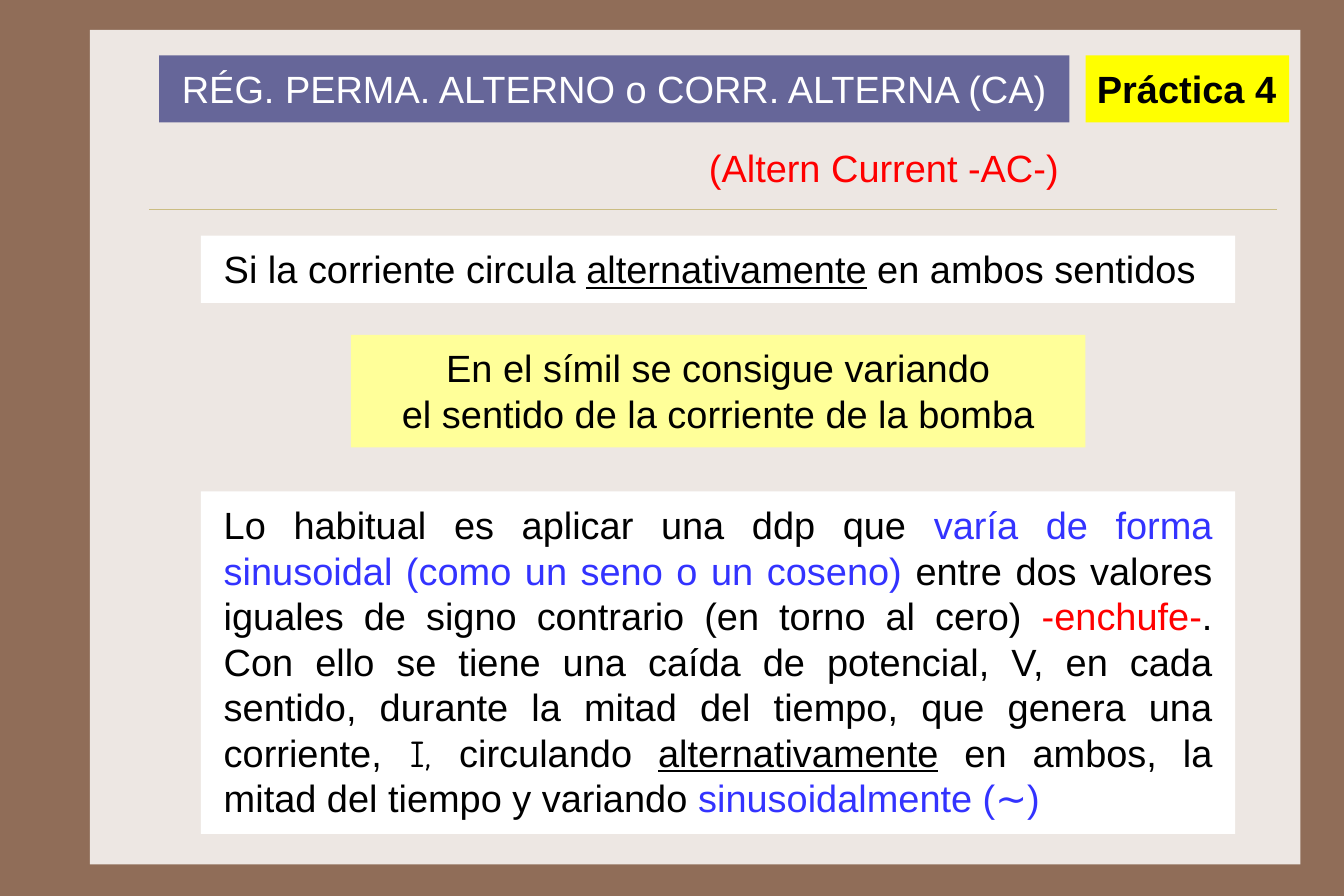
from dataclasses import dataclass
from typing import Optional

from lxml import etree
from pptx import Presentation
from pptx.dml.color import RGBColor
from pptx.enum.shapes import MSO_CONNECTOR, MSO_SHAPE
from pptx.enum.text import MSO_ANCHOR, MSO_AUTO_SIZE, PP_ALIGN
from pptx.oxml.ns import qn
from pptx.util import Pt

RECTANGLE = MSO_SHAPE.RECTANGLE
STRAIGHT = MSO_CONNECTOR.STRAIGHT
TOP = MSO_ANCHOR.TOP
FIT_SHAPE = MSO_AUTO_SIZE.SHAPE_TO_FIT_TEXT
LEFT, CENTER, JUSTIFY = PP_ALIGN.LEFT, PP_ALIGN.CENTER, PP_ALIGN.JUSTIFY


@dataclass(frozen=True)
class Theme:
    background: str = "906D58"
    panel: str = "EDE7E3"
    rule: str = "CBBD83"
    title: str = "666699"
    badge: str = "FFFF00"
    simile: str = "FFFF99"
    white: str = "FFFFFF"
    black: str = "000000"
    blue: str = "3333FF"
    red: str = "FF0000"
    font: str = "Arial"
    symbol_font: str = "Comic Neue"
    size: float = 24
    line_height: float = 28.8


THEME = Theme()


@dataclass(frozen=True)
class Span:
    text: str
    color: str = THEME.black
    font: str = THEME.font
    bold: bool = False
    underline: bool = False


@dataclass(frozen=True)
class Box:
    left: float
    top: float
    width: float
    height: float
    paragraphs: list[list[Span]]
    fill: Optional[str] = None
    align: PP_ALIGN = LEFT
    side_inset: float = 7.2
    wrap: bool = True


# Measures shared by the boxes
SLIDE_WIDTH, SLIDE_HEIGHT = 850.4, 567
ONE_LINE = 42.5
BODY_LEFT, BODY_WIDTH = 127.2, 654.4
BODY_INSET = 14.4
VERTICAL_INSET = 6.5

EXPLANATION = [
    Span("Lo habitual es aplicar una ddp que "),
    Span("varía de forma sinusoidal (como un seno o un coseno) ", THEME.blue),
    Span("entre dos valores iguales de signo contrario (en torno al cero) "),
    Span("-enchufe-", THEME.red),
    Span(". Con ello se tiene una caída de potencial, V, en cada sentido, "
         "durante la mitad del tiempo, que genera una corriente,"),
    Span(" I, ", font=THEME.symbol_font),
    Span("circulando "),
    Span("alternativamente", underline=True),
    Span(" en ambos, la mitad del tiempo y variando "),
    Span("sinusoidalmente (∼)", THEME.blue),
]

DEFINITION = [
    Span("Si la corriente circula "),
    Span("alternativamente", underline=True),
    Span(" en ambos sentidos"),
]

BOXES = [
    Box(BODY_LEFT, 311, BODY_WIDTH, 216.7, [EXPLANATION], THEME.white, JUSTIFY, BODY_INSET),
    Box(100.7, 35, 576, ONE_LINE,
        [[Span("RÉG. PERMA. ALTERNO o CORR. ALTERNA (CA)", THEME.white)]],
        THEME.title, CENTER),
    Box(BODY_LEFT, 149.2, BODY_WIDTH, ONE_LINE, [DEFINITION], THEME.white, JUSTIFY, BODY_INSET),
    Box(687, 35, 128.7, ONE_LINE, [[Span("Práctica 4", bold=True)]], THEME.badge, wrap=False),
    Box(441.5, 85, 239, ONE_LINE, [[Span("(Altern Current -AC-)", THEME.red)]], wrap=False),
    Box(222, 211.9, 464.8, 71.2,
        [[Span("En el símil se consigue variando")],
         [Span("el sentido de la corriente de la bomba")]],
        THEME.simile, CENTER, BODY_INSET),
]


def add_rectangle(slide, left: float, top: float, width: float, height: float, fill: str):
    shape = slide.shapes.add_shape(RECTANGLE, Pt(left), Pt(top), Pt(width), Pt(height))
    shape.shadow.inherit = False
    shape.fill.solid()
    shape.fill.fore_color.rgb = RGBColor.from_string(fill)
    shape.line.fill.background()
    return shape


def add_rule(slide, left: float, right: float, top: float) -> None:
    connector = slide.shapes.add_connector(STRAIGHT, Pt(left), Pt(top), Pt(right), Pt(top))
    connector.line.color.rgb = RGBColor.from_string(THEME.rule)
    connector.line.width = Pt(0.25)
    etree.SubElement(connector._element.spPr, qn("a:effectLst"))


def add_span(paragraph, span: Span) -> None:
    run = paragraph.add_run()
    run.text = span.text
    run.font.name = span.font
    run.font.size = Pt(THEME.size)
    run.font.color.rgb = RGBColor.from_string(span.color)
    run.font.bold = span.bold
    run.font.underline = span.underline


def add_box(slide, box: Box) -> None:
    if box.fill:
        shape = add_rectangle(slide, box.left, box.top, box.width, box.height, box.fill)
    else:
        shape = slide.shapes.add_textbox(Pt(box.left), Pt(box.top), Pt(box.width), Pt(box.height))
    text_frame = shape.text_frame
    text_frame.word_wrap = box.wrap
    text_frame.auto_size = FIT_SHAPE
    text_frame.vertical_anchor = TOP
    text_frame.margin_left = text_frame.margin_right = Pt(box.side_inset)
    text_frame.margin_top = text_frame.margin_bottom = Pt(VERTICAL_INSET)
    for index, spans in enumerate(box.paragraphs):
        paragraph = text_frame.add_paragraph() if index else text_frame.paragraphs[0]
        paragraph.alignment = box.align
        paragraph.line_spacing = Pt(THEME.line_height)
        for span in spans:
            add_span(paragraph, span)


def main() -> None:
    presentation = Presentation()
    presentation.slide_width = Pt(SLIDE_WIDTH)
    presentation.slide_height = Pt(SLIDE_HEIGHT)
    slide = presentation.slides.add_slide(presentation.slide_layouts[6])

    # Background, panel and rule under the heading
    slide.background.fill.solid()
    slide.background.fill.fore_color.rgb = RGBColor.from_string(THEME.background)
    add_rectangle(slide, 56.9, 18.9, 766, 528.2, THEME.panel)
    add_rule(slide, 94.4, 808, 132.2)

    # Heading, definition, simile and explanation
    for box in BOXES:
        add_box(slide, box)

    presentation.save("out.pptx")


if __name__ == "__main__":
    main()
